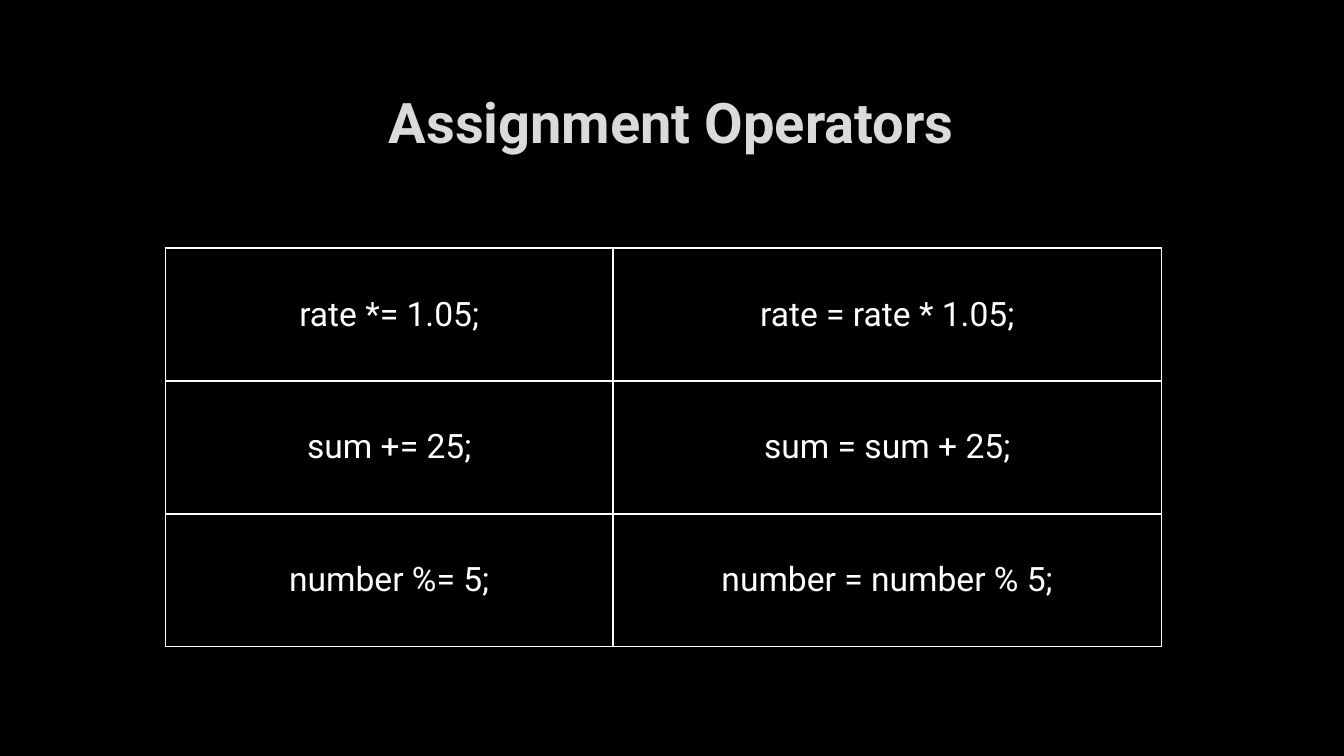
from lxml import etree
from pptx import Presentation
from pptx import util as u
from pptx.dml.color import RGBColor
from pptx.enum import text
from pptx.oxml import ns

COLORS = {"background": "000000", "title": "DADADA", "text": "FFFFFF", "border": "FFFFFF"}
OPERATORS = [
    ("rate *= 1.05;", "rate = rate * 1.05;"),
    ("sum += 25;", "sum = sum + 25;"),
    ("number %= 5;", "number = number % 5;"),
]


class SlideBuilder:
    font_name = "Roboto"

    def __init__(self, slide):
        self.slide = slide

    def color(self, name):
        return RGBColor.from_string(COLORS[name])

    def background(self):
        fill = self.slide.background.fill
        fill.solid()
        fill.fore_color.rgb = self.color("background")

    def centered_text(self, paragraph, words, size, color, bold=False):
        paragraph.text = words
        paragraph.alignment = text.PP_ALIGN.CENTER
        font = paragraph.font
        font.name, font.size, font.bold = self.font_name, u.Pt(size), bold
        font.color.rgb = self.color(color)

    def title(self, words, left, top, width, height):
        shape = self.slide.shapes.add_textbox(u.Cm(left), u.Cm(top), u.Cm(width), u.Cm(height))
        frame = shape.text_frame
        frame.word_wrap = True
        frame.vertical_anchor = text.MSO_ANCHOR.MIDDLE
        self.centered_text(frame.paragraphs[0], words, 40, "title", bold=True)

    def border(self, cell):
        """Draw a thin line on all four sides, placed ahead of the cell fill."""
        properties = cell._tc.get_or_add_tcPr()
        for position, side in enumerate(("lnL", "lnR", "lnT", "lnB")):
            line = etree.Element(ns.qn(f"a:{side}"), w=str(u.Pt(1)))
            fill = etree.SubElement(line, ns.qn("a:solidFill"))
            etree.SubElement(fill, ns.qn("a:srgbClr"), val=COLORS["border"])
            properties.insert(position, line)

    def table(self, rows, left, top, column_widths, row_height):
        table = self.slide.shapes.add_table(
            len(rows), len(column_widths), u.Cm(left), u.Cm(top),
            u.Cm(sum(column_widths)), u.Cm(row_height * len(rows))).table
        table.first_row = table.horz_banding = False
        for column, width in zip(table.columns, column_widths):
            column.width = u.Cm(width)
        for row, entries in zip(table.rows, rows):
            row.height = u.Cm(row_height)
            for cell, words in zip(row.cells, entries):
                cell.fill.solid()
                cell.fill.fore_color.rgb = self.color("background")
                cell.vertical_anchor = text.MSO_ANCHOR.MIDDLE
                cell.margin_left = cell.margin_right = u.Cm(0.18)
                cell.margin_top = cell.margin_bottom = 0
                self.centered_text(cell.text_frame.paragraphs[0], words, 24, "text")
                self.border(cell)


def main():
    presentation = Presentation()
    presentation.slide_width, presentation.slide_height = u.Cm(33.87), u.Cm(19.05)
    builder = SlideBuilder(presentation.slides.add_slide(presentation.slide_layouts[6]))
    builder.background()
    builder.title("Assignment Operators", 2.54, 1.7, 28.75, 2.69)
    builder.table(OPERATORS, 4.17, 6.25, (11.28, 13.82), 3.35)
    presentation.save("out.pptx")


if __name__ == "__main__":
    main()
